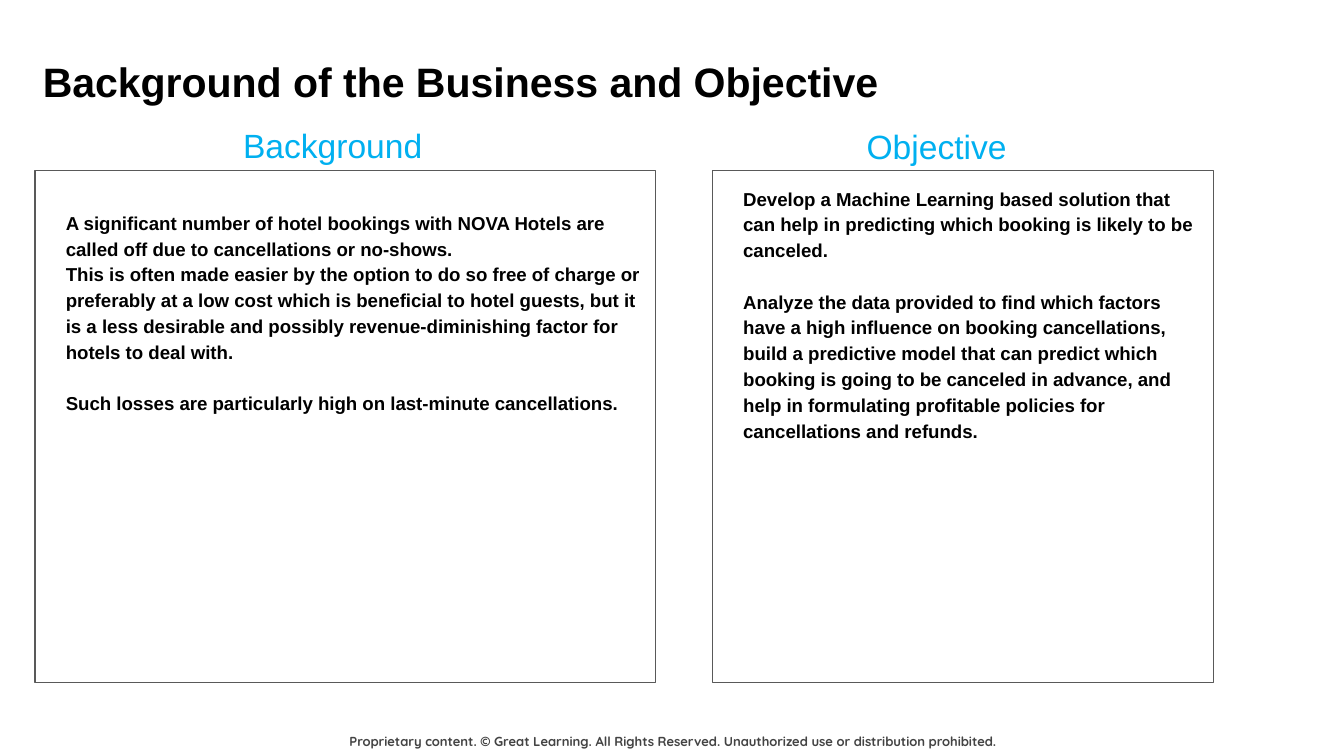
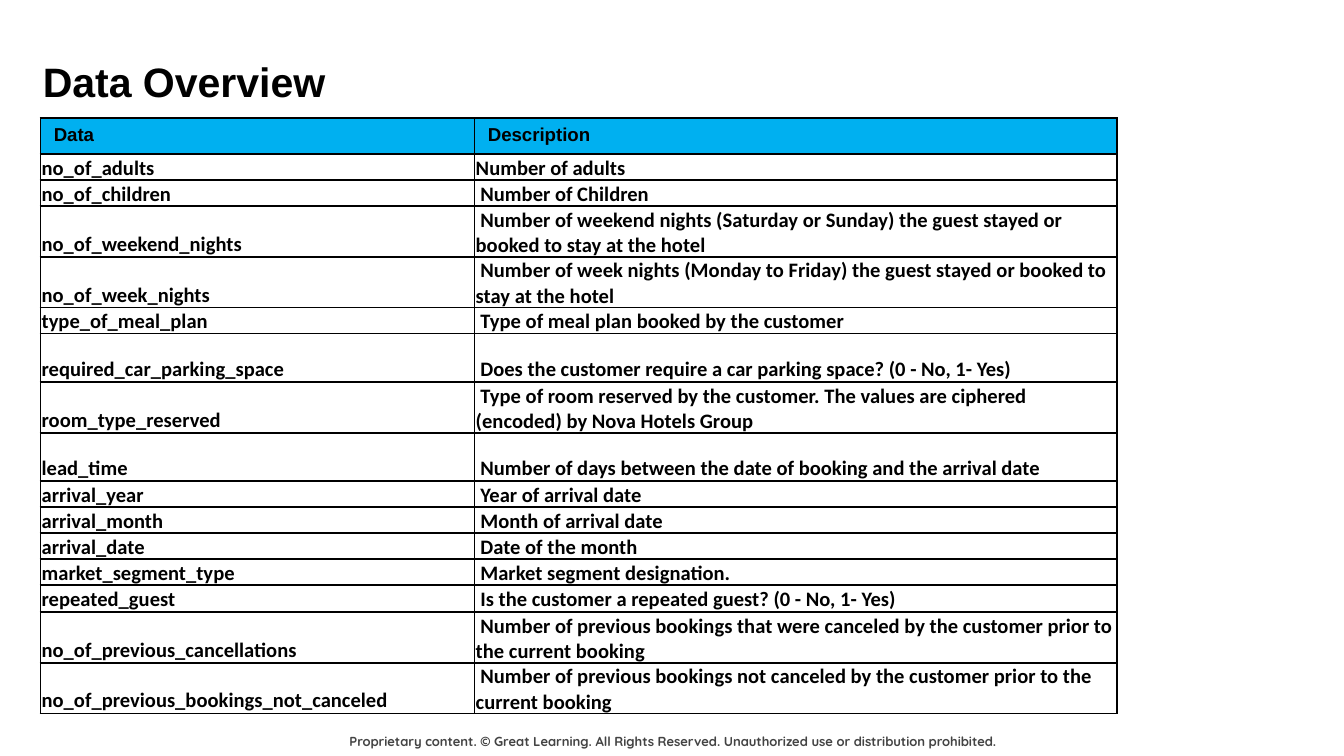
from pptx import Presentation
from pptx.dml.color import RGBColor as Color
from pptx.enum.shapes import MSO_SHAPE as Shape
from pptx.enum.text import MSO_ANCHOR as Anchor, PP_ALIGN as Align
from pptx.oxml.ns import qn
from pptx.util import Inches, Pt
from lxml.etree import SubElement

COLORS = {"paper": "FFFFFF", "text": "000000", "accent": "00B0F0",
          "outline": "595959", "footer": "434343"}

FOOTER = ("Proprietary content. © Great Learning. All Rights Reserved. "
          "Unauthorized use or distribution prohibited.")

BACKGROUND = [
    ("A significant number of hotel bookings with NOVA Hotels are called off due to "
     "cancellations or no-shows.", 0),
    ("This is often made easier by the option to do so free of charge or preferably at a "
     "low cost which is beneficial to hotel guests, but it is a less desirable and possibly "
     "revenue-diminishing factor for hotels to deal with.", 0),
    ("Such losses are particularly high on last-minute cancellations.", 13.8),
]
OBJECTIVE = [
    ("Develop a Machine Learning based solution that can help in predicting which booking "
     "is likely to be canceled.", 0),
    ("Analyze the data provided to find which factors have a high influence on booking "
     "cancellations, build a predictive model that can predict which booking is going to be "
     "canceled in advance, and help in formulating profitable policies for cancellations "
     "and refunds.", 13.8),
]

FIELDS = [
    ("no_of_adults", "Number of adults", 0.18),
    ("no_of_children", " Number of Children", 0.18),
    ("no_of_weekend_nights", " Number of weekend nights (Saturday or Sunday) the guest "
     "stayed or booked to stay at the hotel", 0.36),
    ("no_of_week_nights", " Number of week nights (Monday to Friday) the guest stayed or "
     "booked to stay at the hotel", 0.36),
    ("type_of_meal_plan", " Type of meal plan booked by the customer", 0.18),
    ("required_car_parking_space",
     " Does the customer require a car parking space? (0 - No, 1- Yes)", 0.36),
    ("room_type_reserved", " Type of room reserved by the customer. The values are ciphered "
     "(encoded) by Nova Hotels Group", 0.36),
    ("lead_time", " Number of days between the date of booking and the arrival date", 0.36),
    ("arrival_year", " Year of arrival date", 0.18),
    ("arrival_month", " Month of arrival date", 0.18),
    ("arrival_date", " Date of the month", 0.18),
    ("market_segment_type", " Market segment designation.", 0.18),
    ("repeated_guest", " Is the customer a repeated guest? (0 - No, 1- Yes)", 0.2),
    ("no_of_previous_cancellations", " Number of previous bookings that were canceled by "
     "the customer prior to the current booking", 0.36),
    ("no_of_previous_bookings_not_canceled", " Number of previous bookings not canceled by "
     "the customer prior to the current booking", 0.36),
]


def set_margins(target, left, top, right, bottom):
    """Set the inner margins of a text frame or table cell, in inches."""
    target.margin_left, target.margin_top = Inches(left), Inches(top)
    target.margin_right, target.margin_bottom = Inches(right), Inches(bottom)


def style(paragraph, size, color="text", bold=True, name="Arial"):
    """Set the font of a whole paragraph."""
    font = paragraph.font
    font.name, font.size, font.bold = name, Pt(size), bold
    font.color.rgb = Color.from_string(COLORS[color])


def add_label(slide, box, text, size, inset=0.1, wrap=True, **look):
    """Add a one-paragraph text box and return its text frame."""
    frame = slide.shapes.add_textbox(*map(Inches, box)).text_frame
    frame.word_wrap = wrap
    set_margins(frame, 0.1, inset, 0.1, inset)
    paragraph = frame.paragraphs[0]
    paragraph.text = text
    style(paragraph, size, **look)
    return frame


def add_base_slide(presentation, title):
    """Add a blank slide with the shared background, footer and title."""
    slide = presentation.slides.add_slide(presentation.slide_layouts[6])
    slide.background.fill.solid()
    slide.background.fill.fore_color.rgb = Color.from_string(COLORS["paper"])
    footer = add_label(slide, (2.44, 5.38, 5.11, 0.3), FOOTER, 7,
                       color="footer", name="Quicksand")
    set_margins(footer, 0.12, 0.13, 0.1, 0.1)
    notice = footer.paragraphs[0]
    notice.alignment, notice.line_spacing = Align.CENTER, 1.02
    add_label(slide, (0.22, 0.32, 9.32, 0.63), title, 22)
    return slide


def add_panel(slide, box, passages, top_margin=0.1):
    """Add an outlined panel filled with spaced paragraphs."""
    panel = slide.shapes.add_shape(Shape.RECTANGLE, *map(Inches, box))
    panel.shadow.inherit = False
    panel.fill.background()
    panel.line.color.rgb = Color.from_string(COLORS["outline"])
    panel.line.width = Pt(0.75)
    frame = panel.text_frame
    frame.word_wrap, frame.vertical_anchor = True, Anchor.TOP
    set_margins(frame, 0.23, top_margin, 0.1, 0.1)
    for index, (text, gap) in enumerate(passages):
        paragraph = frame.add_paragraph() if index else frame.paragraphs[0]
        paragraph.text = text
        paragraph.alignment, paragraph.line_spacing = Align.LEFT, 1.15
        paragraph.space_before = Pt(gap)
        style(paragraph, 10)


def add_borders(cell):
    """Draw a thin line on all four sides of a table cell."""
    properties = cell._tc.get_or_add_tcPr()
    for side in ("a:lnL", "a:lnR", "a:lnT", "a:lnB"):
        line = SubElement(properties, qn(side), w=str(Pt(1)))
        fill = SubElement(line, qn("a:solidFill"))
        SubElement(fill, qn("a:srgbClr"), val=COLORS["text"])


def fill_cell(cell, text, header):
    """Write and format one header or body cell."""
    add_borders(cell)
    paragraph = cell.text_frame.paragraphs[0]
    paragraph.text = text
    if header:
        cell.fill.solid()
        cell.fill.fore_color.rgb = Color.from_string(COLORS["accent"])
        style(paragraph, 10)
    else:
        cell.fill.background()
        cell.vertical_anchor = Anchor.BOTTOM
        set_margins(cell, 0.01, 0.01, 0.01, 0)
        style(paragraph, 11, name="Calibri")


def add_field_table(slide, box, column_widths):
    """Add the table of data fields inside the given box."""
    rows = [("Data", "Description", 0.26), *FIELDS]
    table = slide.shapes.add_table(len(rows), len(column_widths), *map(Inches, box)).table
    table.first_row = table.horz_banding = False
    for column, width in zip(table.columns, column_widths):
        column.width = Inches(width)
    for row_index, (*texts, height) in enumerate(rows):
        table.rows[row_index].height = Inches(height)
        for column_index, text in enumerate(texts):
            fill_cell(table.cell(row_index, column_index), text, row_index == 0)


def build_objective_slide(presentation):
    """Build the slide on the background and the objective."""
    slide = add_base_slide(presentation, "Background of the Business and Objective")
    add_panel(slide, (0.26, 1.27, 4.62, 3.81), BACKGROUND, top_margin=0.28)
    add_panel(slide, (5.3, 1.27, 3.73, 3.81), OBJECTIVE)
    look = {"size": 18, "inset": 0.05, "color": "accent", "bold": False}
    add_label(slide, (1.71, 0.88, 1.61, 0.4), "Background", **look)
    add_label(slide, (6.35, 0.89, 1.25, 0.4), "Objective", wrap=False, **look)


def build_data_slide(presentation):
    """Build the slide that lists the data fields."""
    slide = add_base_slide(presentation, "Data Overview")
    add_field_table(slide, (0.3, 0.88, 8.01, 4.39), (3.23, 4.78))


def main():
    """Build and save the presentation."""
    presentation = Presentation()
    presentation.slide_width = Inches(10)
    presentation.slide_height = presentation.slide_width * 9 // 16
    build_objective_slide(presentation)
    build_data_slide(presentation)
    presentation.save("out.pptx")


if __name__ == "__main__":
    main()
